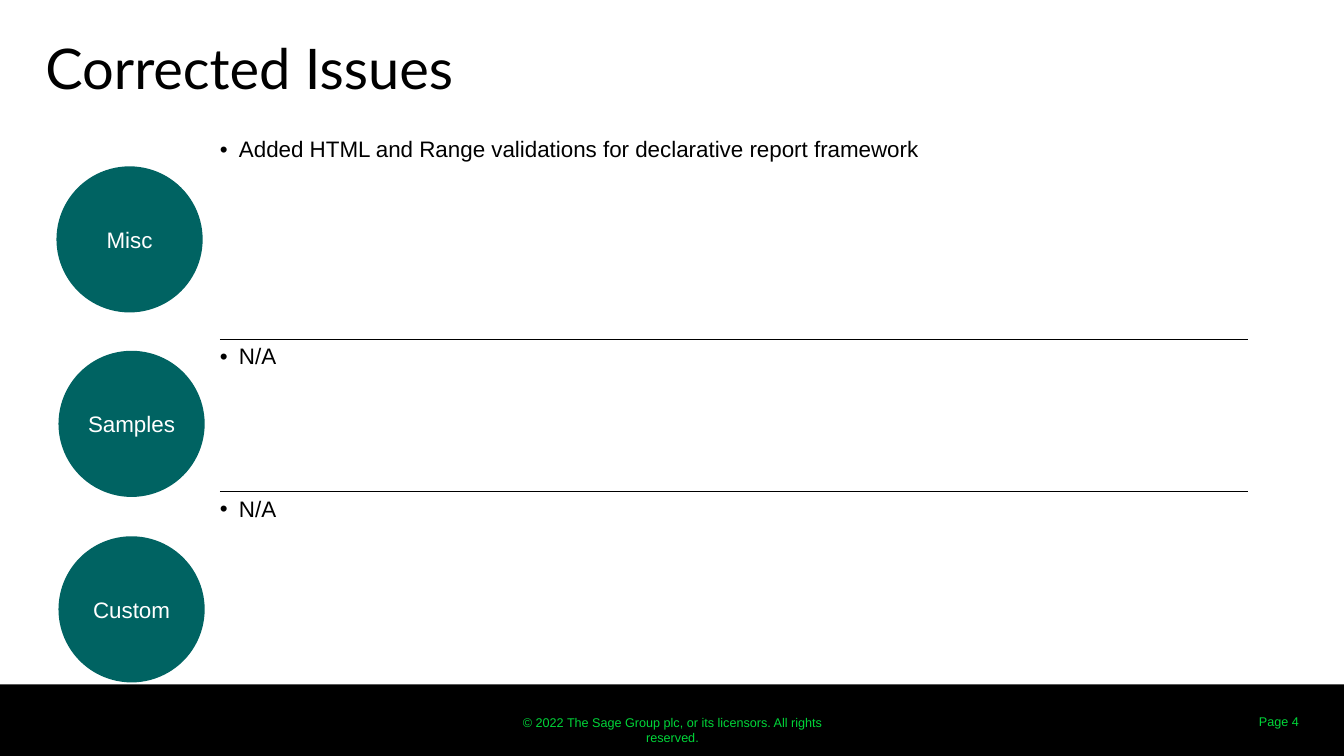
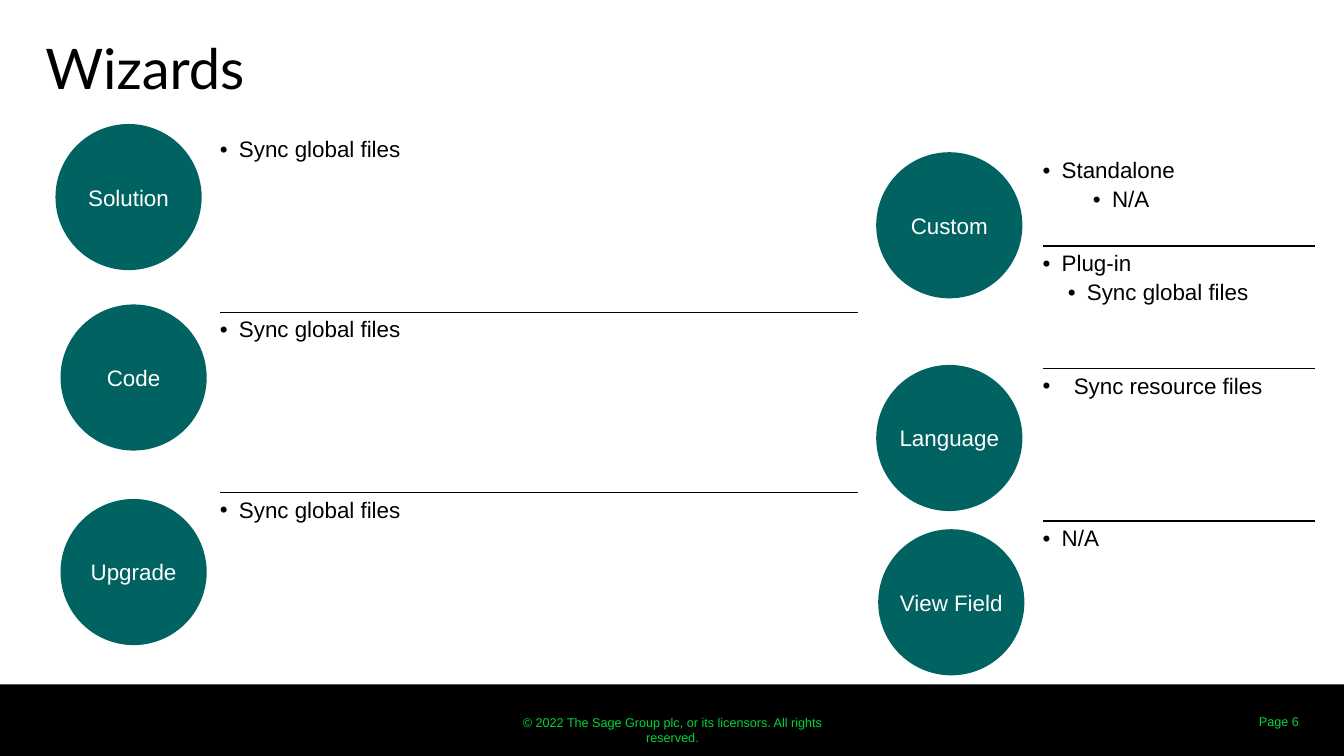
from dataclasses import dataclass

from lxml.etree import SubElement
from pptx import Presentation
from pptx.dml.color import RGBColor
from pptx.enum.shapes import MSO_SHAPE
from pptx.enum.text import MSO_ANCHOR, PP_ALIGN
from pptx.oxml import parse_xml
from pptx.oxml.ns import nsdecls, qn
from pptx.util import Inches, Pt

BLACK = RGBColor(0x00, 0x00, 0x00)
WHITE = RGBColor(0xFF, 0xFF, 0xFF)
TEAL = RGBColor(0x00, 0x63, 0x62)
GREEN = RGBColor(0x00, 0xD6, 0x39)
TITLE_FONT, BODY_FONT = "Lato", "Arial"
SLIDE_W, SLIDE_H = 13.33, 7.5
BAND_TOP = 6.79
CIRCLE = 1.45
HANG = 0.19
COPYRIGHT = "© 2022 The Sage Group plc, or its licensors. All rights reserved."


@dataclass
class Circle:
    label: str
    left: float
    top: float


@dataclass
class Bullet:
    text: str
    level: int = 0
    indent: float = HANG
    hang: float = HANG


@dataclass
class Row:
    height: float
    bullets: list[Bullet]


@dataclass
class Table:
    left: float
    top: float
    width: float
    rows: list[Row]


@dataclass
class Page:
    title: str
    number: int
    circles: list[Circle]
    tables: list[Table]


PAGES = [
    Page(
        "Corrected Issues", 4,
        [Circle("Misc", 0.56, 1.65), Circle("Samples", 0.58, 3.48), Circle("Custom", 0.58, 5.32)],
        [Table(2.18, 1.31, 10.2, [
            Row(2.06, [Bullet("Added HTML and Range validations for declarative report framework")]),
            Row(1.51, [Bullet("N/A")]),
            Row(1.51, [Bullet("N/A")]),
        ])],
    ),
    Page(
        "Wizards", 6,
        [Circle("Solution", 0.55, 1.23), Circle("Code", 0.6, 3.02), Circle("Upgrade", 0.6, 4.95),
         Circle("Custom", 8.69, 1.51), Circle("Language", 8.69, 3.62), Circle("View Field", 8.71, 5.25)],
        [Table(2.18, 1.31, 6.33, [
            Row(height, [Bullet("Sync global files")]) for height in (1.79, 1.79, 1.86)
        ]),
         Table(10.34, 1.52, 2.7, [
             Row(0.92, [Bullet("Standalone"), Bullet("N/A", 1, 0.69)]),
             Row(1.22, [Bullet("Plug-in"), Bullet("Sync global files", 1, 0.44)]),
             Row(1.51, [Bullet("Sync resource files", indent=0.31, hang=0.31)]),
             Row(1.45, [Bullet("N/A")]),
         ])],
    ),
]


def write(p, text: str, *, size: float = 16, font: str = BODY_FONT,
          color: RGBColor = BLACK, align=PP_ALIGN.LEFT) -> None:
    p.alignment = align
    r = p.add_run()
    r.text = text
    r.font.size = Pt(size)
    r.font.name = font
    r.font.color.rgb = color


def set_frame(tf, anchor, *, x: float = 0, y: float = 0) -> None:
    tf.word_wrap = True
    tf.vertical_anchor = anchor
    tf.margin_left = tf.margin_right = Inches(x)
    tf.margin_top = tf.margin_bottom = Inches(y)


def add_text(s, box: tuple, text: str, *, anchor=MSO_ANCHOR.TOP,
             x: float = 0, y: float = 0, **style) -> None:
    tf = s.shapes.add_textbox(*map(Inches, box)).text_frame
    set_frame(tf, anchor, x=x, y=y)
    write(tf.paragraphs[0], text, **style)


def add_filled(s, shape_type, box: tuple, color: RGBColor):
    sp = s.shapes.add_shape(shape_type, *map(Inches, box))
    sp.shadow.inherit = False
    sp.fill.solid()
    sp.fill.fore_color.rgb = color
    sp.line.fill.background()
    return sp


def add_circle(s, circle: Circle) -> None:
    sp = add_filled(s, MSO_SHAPE.OVAL, (circle.left, circle.top, CIRCLE, CIRCLE), TEAL)
    set_frame(sp.text_frame, MSO_ANCHOR.MIDDLE)
    write(sp.text_frame.paragraphs[0], circle.label, color=WHITE, align=PP_ALIGN.CENTER)


def set_borders(cell, top: bool, bottom: bool) -> None:
    tc_pr = cell._tc.get_or_add_tcPr()
    sides = {"lnL": False, "lnR": False, "lnT": top, "lnB": bottom}
    for i, (side, shown) in enumerate(sides.items()):
        fill = f'<a:solidFill><a:srgbClr val="{BLACK}"/></a:solidFill>' if shown else "<a:noFill/>"
        tc_pr.insert(i, parse_xml(f'<a:{side} {nsdecls("a")} w="{Pt(1)}">{fill}</a:{side}>'))


def add_bullet(p, bullet: Bullet) -> None:
    p_pr = p._p.get_or_add_pPr()
    p_pr.set("marL", str(Inches(bullet.indent)))
    p_pr.set("indent", str(-Inches(bullet.hang)))
    SubElement(p_pr, qn("a:buFont")).set("typeface", BODY_FONT)
    SubElement(p_pr, qn("a:buChar")).set("char", "•")
    p.level = bullet.level
    p.space_after = Pt(3)
    write(p, bullet.text)


def add_ruled_table(s, table: Table) -> None:
    rows = table.rows
    box = (table.left, table.top, table.width, sum(row.height for row in rows))
    tbl = s.shapes.add_table(len(rows), 1, *map(Inches, box)).table
    tbl.first_row = tbl.horz_banding = False
    for i, row in enumerate(rows):
        tbl.rows[i].height = Inches(row.height)
        cell = tbl.cell(i, 0)
        cell.fill.background()
        cell.margin_left = cell.margin_right = 0
        cell.margin_top = cell.margin_bottom = Inches(0.05)
        set_borders(cell, top=i > 0, bottom=i < len(rows) - 1)
        tf = cell.text_frame
        for j, bullet in enumerate(row.bullets):
            add_bullet(tf.add_paragraph() if j else tf.paragraphs[0], bullet)


def add_page(prs, page: Page) -> None:
    s = prs.slides.add_slide(prs.slide_layouts[6])

    # Footer band, title and page number
    add_filled(s, MSO_SHAPE.RECTANGLE, (0, BAND_TOP, SLIDE_W, SLIDE_H - BAND_TOP), BLACK)
    add_text(s, (4.92, 7.04, 3.5, 0.25), COPYRIGHT, y=0.05,
             size=9, color=GREEN, align=PP_ALIGN.CENTER)
    add_text(s, (0.45, 0.33, 12.42, 0.65), page.title, size=40, font=TITLE_FONT)
    add_text(s, (12.07, 6.96, 0.91, 0.4), f"Page {page.number}", anchor=MSO_ANCHOR.MIDDLE,
             x=0.1, y=0.05, size=9, color=GREEN, align=PP_ALIGN.RIGHT)

    # Topics and their notes
    for circle in page.circles:
        add_circle(s, circle)
    for table in page.tables:
        add_ruled_table(s, table)


def main() -> None:
    prs = Presentation()
    prs.slide_width, prs.slide_height = Inches(SLIDE_W), Inches(SLIDE_H)
    for page in PAGES:
        add_page(prs, page)
    prs.save("out.pptx")


if __name__ == "__main__":
    main()
